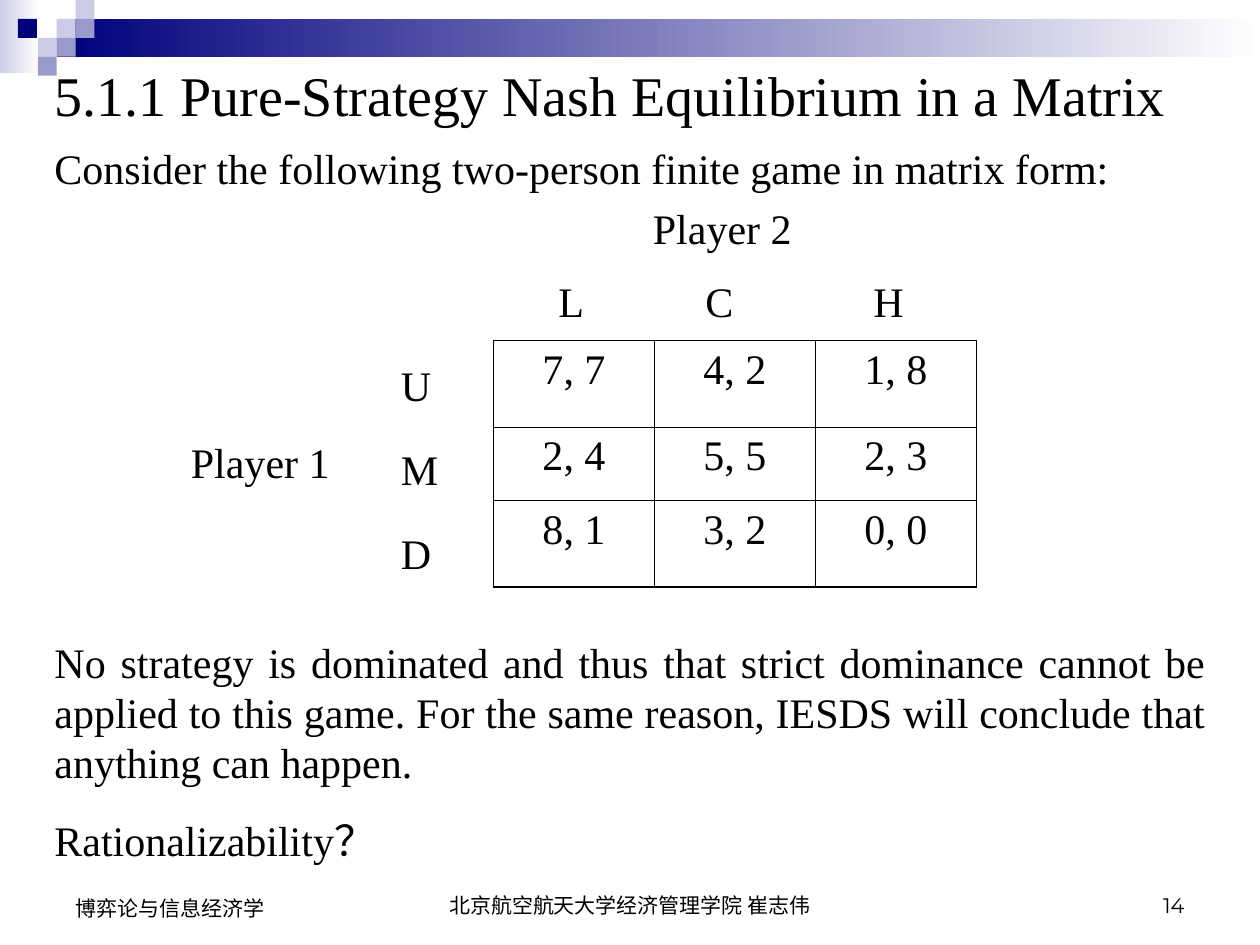
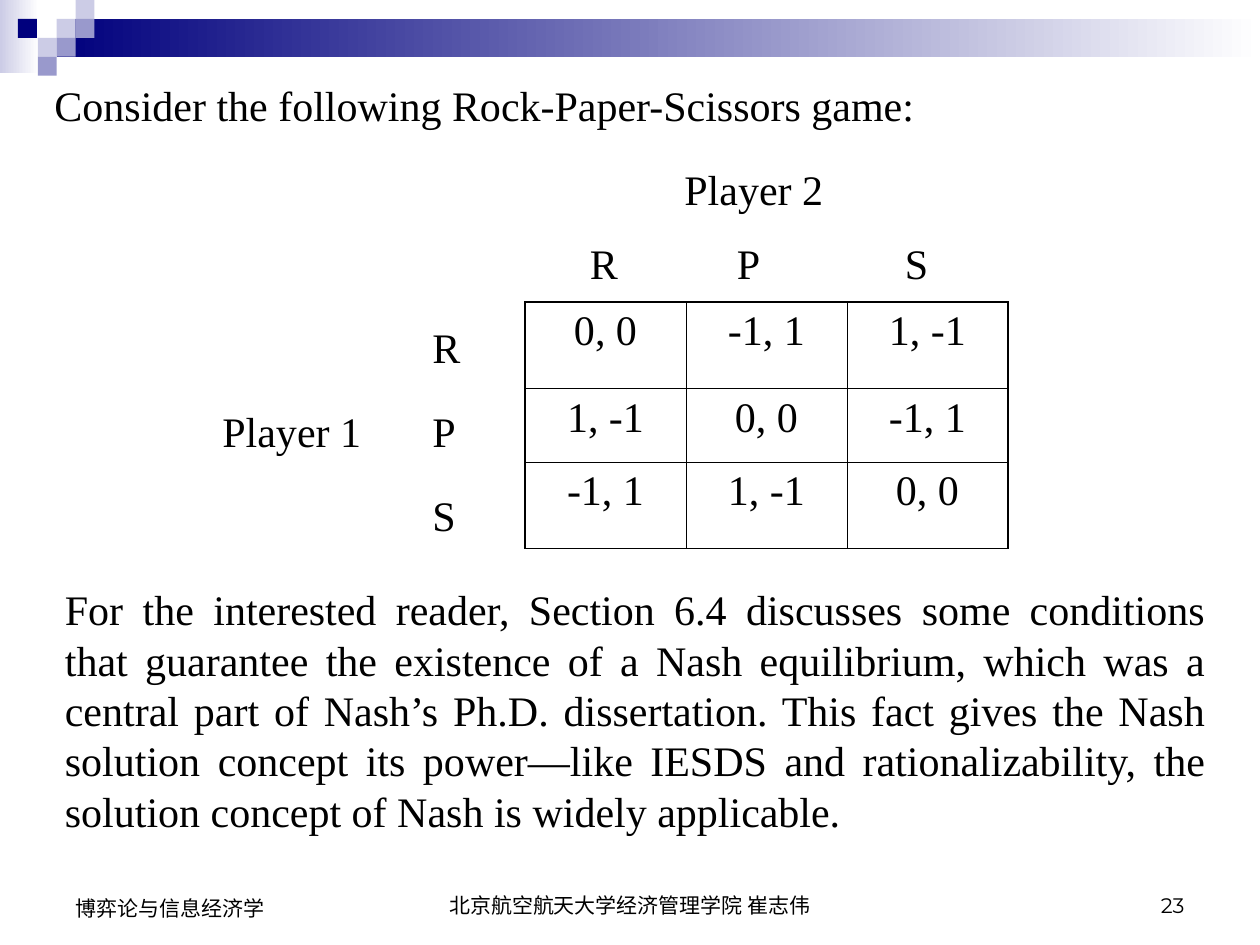
from lxml import etree
from pptx import Presentation
from pptx.dml.color import RGBColor
from pptx.enum.shapes import MSO_SHAPE
from pptx.enum.text import MSO_ANCHOR, MSO_AUTO_SIZE, PP_ALIGN
from pptx.oxml.ns import qn
from pptx.util import Pt

LEFT, CENTER, RIGHT, JUSTIFY = PP_ALIGN.LEFT, PP_ALIGN.CENTER, PP_ALIGN.RIGHT, PP_ALIGN.JUSTIFY
TOP, BOTTOM = MSO_ANCHOR.TOP, MSO_ANCHOR.BOTTOM
RECTANGLE = MSO_SHAPE.RECTANGLE
NO_AUTOFIT = MSO_AUTO_SIZE.NONE

BLACK = RGBColor(0x00, 0x00, 0x00)
WHITE = RGBColor(0xFF, 0xFF, 0xFF)
NAVY = RGBColor(0x00, 0x00, 0x7D)
LAVENDER = RGBColor(0xCC, 0xCC, 0xE6)
PERIWINKLE = RGBColor(0x99, 0x99, 0xCC)

SERIF, SANS, NUMBER_FONT = "Times New Roman", "Arial", "Montserrat"
OUTER_LINE, INNER_LINE = 1.08, 0.45
COLUMN_WIDTH = 92
ROW_HEIGHTS = [49.5, 42, 49.5]
COLUMN_LABEL_OFFSETS = [30, 114, 210]

# Header band: gradient strips, then squares on a grid of one square's side
SQUARE = 10.8
STRIPS = [(0, 0, 22.3, 41.8, LAVENDER), (32.4, SQUARE, 687.6, 2 * SQUARE, NAVY)]
SQUARES = [
    (3, 1, LAVENDER), (4, 0, LAVENDER), (4, 1, PERIWINKLE), (2, 2, LAVENDER),
    (0.95, 1, NAVY), (3, 2, PERIWINKLE), (2, 3, PERIWINKLE),
]

SLIDES = [
    {
        "number": "14",
        "title": "5.1.1 Pure-Strategy Nash Equilibrium in a Matrix",
        "texts": [
            ("Consider the following two-person finite game in matrix form:",
             (24, 78, 660, 36), LEFT),
            ("No strategy is dominated and thus that strict dominance cannot be applied "
             "to this game. For the same reason, IESDS will conclude that anything can happen.",
             (24, 360, 672, 94), JUSTIFY),
            ("Rationalizability？", (24, 462, 672, 36), JUSTIFY),
        ],
        "matrix_at": (282, 194.5),
        "player_1_top": 246,
        "rows": "UMD",
        "columns": "LCH",
        "payoffs": [["7, 7", "4, 2", "1, 8"],
                    ["2, 4", "5, 5", "2, 3"],
                    ["8, 1", "3, 2", "0, 0"]],
    },
    {
        "number": "23",
        "title": None,
        "texts": [
            ("Consider the following Rock-Paper-Scissors game:", (24, 42, 660, 36), LEFT),
            ("For the interested reader, Section 6.4 discusses some conditions that guarantee "
             "the existence of a Nash equilibrium, which was a central part of Nash’s Ph.D. "
             "dissertation. This fact gives the Nash solution concept its power—like IESDS and "
             "rationalizability, the solution concept of Nash is widely applicable.",
             (30, 330, 666, 151), JUSTIFY),
        ],
        "matrix_at": (300, 172.5),
        "player_1_top": 228,
        "rows": "RPS",
        "columns": "RPS",
        "payoffs": [["0, 0", "-1, 1", "1, -1"],
                    ["1, -1", "0, 0", "-1, 1"],
                    ["-1, 1", "1, -1", "0, 0"]],
    },
]


def write(frame, text, size=24, font=SERIF, align=LEFT, anchor=TOP):
    frame.word_wrap = True
    frame.auto_size = NO_AUTOFIT
    frame.vertical_anchor = anchor
    para = frame.paragraphs[0]
    para.alignment = align
    span = para.add_run()
    span.text = text
    span.font.size = Pt(size)
    span.font.name = font
    span.font.color.rgb = BLACK


def set_border(cell, side, width):
    """Draw one side (L, R, T or B) of a cell in black."""
    properties = cell._tc.get_or_add_tcPr()
    line = etree.SubElement(properties, qn(f"a:ln{side}"), w=str(Pt(width)))
    fill = etree.SubElement(line, qn("a:solidFill"))
    etree.SubElement(fill, qn("a:srgbClr"), val=str(BLACK))


deck = Presentation()
deck.slide_width, deck.slide_height = Pt(720), Pt(540)
title_only, blank = deck.slide_layouts[5], deck.slide_layouts[6]

for content in SLIDES:
    page = deck.slides.add_slide(title_only if content["title"] else blank)

    # Header band
    for left, top, width, height, color in STRIPS:
        strip = page.shapes.add_shape(RECTANGLE, Pt(left), Pt(top), Pt(width), Pt(height))
        strip.shadow.inherit = False
        strip.line.fill.background()
        strip.fill.gradient()
        strip.fill.gradient_angle = 0
        for stop, stop_color in zip(strip.fill.gradient_stops, (color, WHITE)):
            stop.color.rgb = stop_color
    for column, row, color in SQUARES:
        square = page.shapes.add_shape(
            RECTANGLE, Pt(column * SQUARE), Pt(row * SQUARE), Pt(SQUARE), Pt(SQUARE))
        square.shadow.inherit = False
        square.line.fill.background()
        square.fill.solid()
        square.fill.fore_color.rgb = color

    # Title
    if content["title"]:
        title = page.shapes.title
        title.left, title.top, title.width, title.height = Pt(24), Pt(31), Pt(678), Pt(46)
        write(title.text_frame, content["title"], size=32)

    # Footer, body text and matrix labels
    matrix_left, matrix_top = content["matrix_at"]
    footer = {"size": 12, "anchor": BOTTOM}
    texts = [
        ("北京航空航天大学经济管理学院 崔志伟", (246, 492, 228, 36),
         {"font": SANS, "align": CENTER, **footer}),
        (content["number"], (516, 492, 168, 36),
         {"font": NUMBER_FONT, "align": RIGHT, **footer}),
        ("博弈论与信息经济学", (36, 492, 168, 37.5), {"font": SANS, **footer}),
        ("Player 2", (matrix_left + 84, matrix_top - 82.5, 132, 36), {}),
        ("Player 1", (matrix_left - 180, content["player_1_top"], 96, 36), {}),
    ]
    for text, area, align in content["texts"]:
        texts.append((text, area, {"align": align}))
    for index, label in enumerate(content["rows"]):
        texts.append((label, (matrix_left - 60, matrix_top + 7.5 + 48 * index, 42, 36), {}))
    for offset, label in zip(COLUMN_LABEL_OFFSETS, content["columns"]):
        texts.append((label, (matrix_left + offset, matrix_top - 40.5, 42, 36), {}))
    for text, area, style in texts:
        box = page.shapes.add_textbox(*map(Pt, area))
        write(box.text_frame, text, **style)

    # Payoff matrix
    payoffs = content["payoffs"]
    last = len(payoffs) - 1
    matrix = page.shapes.add_table(
        3, 3, Pt(matrix_left), Pt(matrix_top), Pt(3 * COLUMN_WIDTH), Pt(sum(ROW_HEIGHTS))).table
    matrix.first_row = matrix.horz_banding = False
    for row, height in enumerate(ROW_HEIGHTS):
        matrix.rows[row].height = Pt(height)
        matrix.columns[row].width = Pt(COLUMN_WIDTH)
        for column, payoff in enumerate(payoffs[row]):
            cell = matrix.cell(row, column)
            para = cell.text_frame.paragraphs[0]
            para.alignment = CENTER
            span = para.add_run()
            span.text = payoff
            span.font.size = Pt(24)
            span.font.name = SERIF
            span.font.color.rgb = BLACK
            edges = {"L": column == 0, "R": column == last, "T": row == 0, "B": row == last}
            for side, is_outer in edges.items():
                set_border(cell, side, OUTER_LINE if is_outer else INNER_LINE)
            cell.fill.background()

deck.save("out.pptx")
